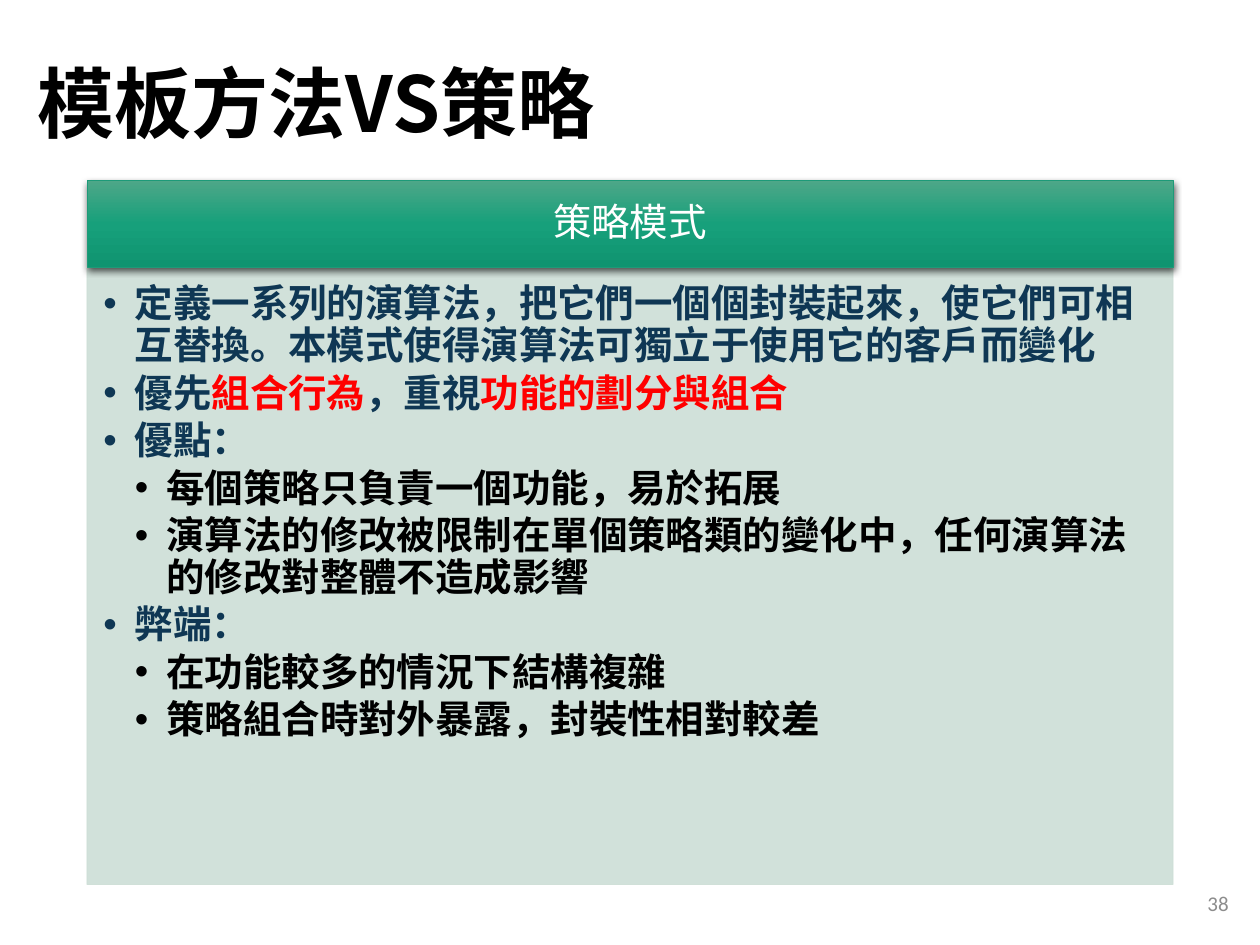
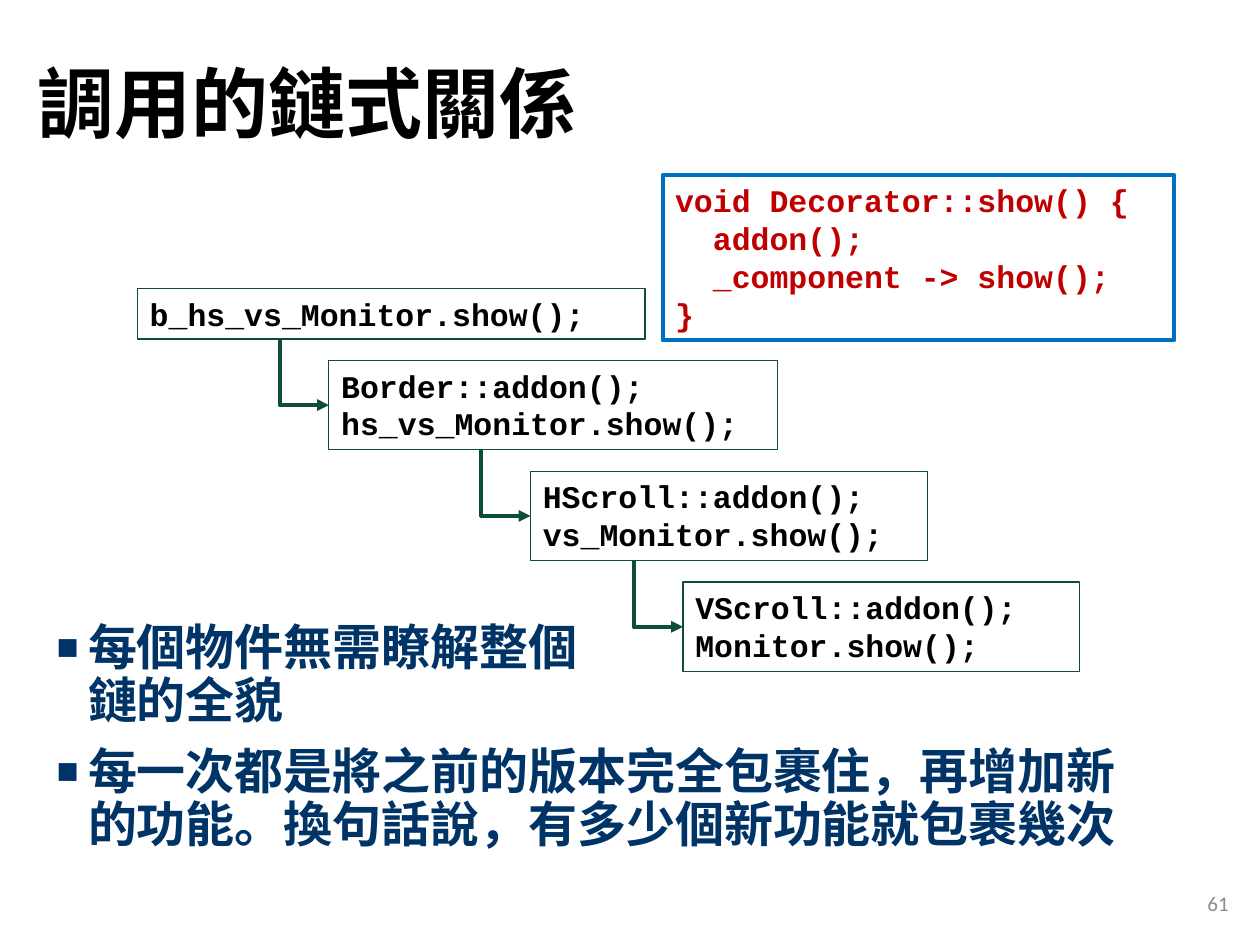
"""Build two slides on design patterns: the strategy panel and the call chain."""
from copy import deepcopy
from dataclasses import dataclass, field
from itertools import pairwise
from typing import Any, NamedTuple

from lxml.etree import SubElement as Sub
from pptx import Presentation
from pptx.dml.color import RGBColor as Rgb
from pptx.enum.shapes import MSO_CONNECTOR as Link, MSO_SHAPE as Form
from pptx.enum.text import MSO_ANCHOR as Anchor, PP_ALIGN as Align
from pptx.oxml.ns import qn
from pptx.util import Inches, Pt


@dataclass(frozen=True)
class Theme:
    black: str = "000000"
    white: str = "FFFFFF"
    grey: str = "8C8C8C"
    ink: str = "0F3754"
    navy: str = "003366"
    red: str = "FF0000"
    code: str = "C00000"
    frame: str = "0070C0"
    pine: str = "0E4D3C"
    rim: str = "1D9A78"
    mint: str = "CDDED6"
    glow: tuple = ((0, "4EA788"), (0.5, "17A07B"), (1, "0F9470"))
    title: int = 44
    body: int = 28
    panel: int = 22
    mono: int = 18
    page: int = 12
    cjk: str = "Noto Sans CJK SC"
    fixed: str = "Courier New"
    sans: str = "Calibri"


T = Theme()


class Box(NamedTuple):
    left: float
    top: float
    width: float
    height: float

    def lengths(self) -> list:
        return [Inches(side) for side in self]


class Run(NamedTuple):
    text: str
    tint: str | None = None


class Para(NamedTuple):
    runs: list[Run]
    level: int = 0
    tint: str | None = None
    inset: float = 0


@dataclass(frozen=True)
class Style:
    size: int
    face: str
    tint: str
    bold: bool = True
    bullet: str = ""
    scale: int = 100
    para: dict[str, Any] = field(default_factory=dict)
    frame: dict[str, Any] = field(default_factory=dict)


def pads(left: float, top: float, right: float, bottom: float) -> dict[str, Any]:
    names = ("margin_left", "margin_top", "margin_right", "margin_bottom")
    return dict(zip(names, map(Inches, (left, top, right, bottom))))


MID = {"vertical_anchor": Anchor.MIDDLE}
TOP = {"vertical_anchor": Anchor.TOP}
TIGHT = {"line_spacing": 0.9}

TITLE = Style(T.title, T.cjk, T.black, para=TIGHT, frame=MID)
PAGE = Style(T.page, T.sans, T.grey, False, para={"alignment": Align.RIGHT}, frame=MID)
HEAD = Style(T.panel, T.cjk, T.white, False, para=TIGHT | {"alignment": Align.CENTER},
             frame=MID | pads(0.17, 0.1, 0.17, 0.1))
LIST = Style(T.panel, T.cjk, T.ink, bullet="•",
             para=TIGHT | {"alignment": Align.LEFT, "space_after": Pt(3.4)},
             frame=TOP | pads(0.13, 0.13, 0.17, 0.19))
BODY = Style(T.body, T.fixed, T.navy, bullet="■", scale=75,
             para=TIGHT | {"space_before": Pt(10)}, frame=TOP)
CALL = Style(T.mono, T.fixed, T.black, para={"alignment": Align.LEFT}, frame=TOP)
CODE = Style(T.mono, T.fixed, T.code, para={"alignment": Align.LEFT}, frame=TOP)

STEP = 0.25
TITLE_BOX = Box(0.2, 0.13, 8.62, 1.45)
PAGE_BOX = Box(7.6, 6.97, 2.25, 0.4)


def apply(thing: Any, values: dict[str, Any]) -> None:
    for name, value in values.items():
        setattr(thing, name, value)


def plain(text: str, **more: Any) -> Para:
    return Para([Run(text)], **more)


def mark(para: Any, level: int, style: Style) -> None:
    props = para._p.get_or_add_pPr()
    props.set("marL", str(Inches(STEP * (level + 1))))
    props.set("indent", str(Inches(-STEP)))
    Sub(props, qn("a:buSzPct"), val=str(style.scale * 1000))
    Sub(props, qn("a:buFont"), typeface="Arial")
    Sub(props, qn("a:buChar"), char=style.bullet)


def say(para: Any, text: str, tint: str, style: Style) -> None:
    run = para.add_run()
    run.text = text
    apply(run.font, {"size": Pt(style.size), "name": style.face, "bold": style.bold})
    run.font.color.rgb = Rgb.from_string(tint)
    Sub(run._r.get_or_add_rPr(), qn("a:ea"), typeface=T.cjk)


def write(shape: Any, style: Style, paras: list[Para]) -> None:
    frame = shape.text_frame
    apply(frame, {"word_wrap": True} | style.frame)
    for count, item in enumerate(paras):
        para = frame.add_paragraph() if count else frame.paragraphs[0]
        apply(para, style.para)
        if style.bullet:
            para.level = item.level
            mark(para, item.level, style)
        elif item.inset:
            para._p.get_or_add_pPr().set("marL", str(Inches(item.inset)))
        for run in item.runs:
            for row, text in enumerate(run.text.splitlines()):
                if row:
                    para.add_line_break()
                say(para, text, run.tint or item.tint or style.tint, style)


def label(slide: Any, box: Box, style: Style, paras: list[Para]) -> None:
    write(slide.shapes.add_textbox(*box.lengths()), style, paras)


def block(slide: Any, box: Box, edge: str, width: float, fill: str | None = None) -> Any:
    shape = slide.shapes.add_shape(Form.RECTANGLE, *box.lengths())
    shape.shadow.inherit = False
    shape.line.color.rgb = Rgb.from_string(edge)
    shape.line.width = Pt(width)
    if fill:
        shape.fill.solid()
        shape.fill.fore_color.rgb = Rgb.from_string(fill)
    else:
        shape.fill.background()
    return shape


def shade(shape: Any) -> None:
    fill, props = shape.fill, shape._element.spPr
    fill.gradient()
    fill.gradient_angle = 270
    stops = props.find(".//" + qn("a:gsLst"))
    stops.append(deepcopy(stops[0]))
    for stop, (place, tint) in zip(fill.gradient_stops, T.glow):
        stop.position = place
        stop.color.rgb = Rgb.from_string(tint)
    cast = Sub(props.find(qn("a:effectLst")), qn("a:outerShdw"), blurRad=str(Pt(4.5)),
               dist=str(Pt(1.5)), dir="5400000", algn="ctr", rotWithShape="0")
    Sub(Sub(cast, qn("a:srgbClr"), val=T.black), qn("a:alpha"), val="63000")


def fade(shape: Any, share: int) -> None:
    for tint in shape._element.spPr.iter(qn("a:srgbClr")):
        Sub(tint, qn("a:alpha"), val=str(share * 1000))


def bend(slide: Any, start: Box, goal: Box, run: float = 0.39) -> None:
    base = start.top + start.height
    drop = goal.top + goal.height / 2 - base
    mid_x, mid_y = goal.left - run / 2, base + drop / 2
    ends = (mid_x + drop / 2, mid_y - run / 2, mid_x - drop / 2, mid_y + run / 2)
    line = slide.shapes.add_connector(Link.ELBOW, *map(Inches, ends))
    line.line.color.rgb = Rgb.from_string(T.pine)
    line.line.width = Pt(2.25)
    props = line._element.spPr
    props.find(qn("a:xfrm")).set("rot", "16200000")
    props.find(qn("a:prstGeom")).set("prst", "bentConnector2")
    Sub(props.find(qn("a:ln")), qn("a:tailEnd"), type="triangle")
    Sub(props, qn("a:effectLst"))


def start(deck: Any, title: str, page: int) -> Any:
    slide = deck.slides.add_slide(deck.slide_layouts[6])
    label(slide, TITLE_BOX, TITLE, [plain(title)])
    label(slide, PAGE_BOX, PAGE, [plain(str(page))])
    return slide


def compare(deck: Any) -> None:
    slide = start(deck, "模板方法VS策略", 38)
    panel = block(slide, Box(0.69, 2.13, 8.62, 4.89), T.mint, 0.5, T.mint)
    fade(panel, 90)
    sub = {"level": 1, "tint": T.black}
    write(panel, LIST, [
        plain("定義一系列的演算法，把它們一個個封裝起來，使它們可相互替換。"
              "本模式使得演算法可獨立于使用它的客戶而變化"),
        Para([Run("優先"), Run("組合行為", T.red), Run("，重視"),
              Run("功能的劃分與組合", T.red)]),
        plain("優點："),
        plain("每個策略只負責一個功能，易於拓展", **sub),
        plain("演算法的修改被限制在單個策略類的變化中，任何演算法的修改對整體不造成影響", **sub),
        plain("弊端："),
        plain("在功能較多的情況下結構複雜", **sub),
        plain("策略組合時對外暴露，封裝性相對較差", **sub),
    ])
    head = block(slide, Box(0.69, 1.43, 8.62, 0.69), T.rim, 0.5)
    shade(head)
    write(head, HEAD, [plain("策略模式")])


class Call(NamedTuple):
    left: float
    width: float
    lines: list[str]


CALLS = [
    Call(1.09, 4.03, ["b_hs_vs_Monitor.show();"]),
    Call(2.61, 3.56, ["Border::addon();", "hs_vs_Monitor.show();"]),
    Call(4.21, 3.15, ["HScroll::addon();", "vs_Monitor.show();"]),
    Call(5.42, 3.15, ["VScroll::addon();", "Monitor.show();"]),
]


def chain(deck: Any) -> None:
    slide = start(deck, "調用的鏈式關係", 61)
    label(slide, Box(0.35, 4.9, 8.62, 1.86), BODY, [
        plain("每個物件無需瞭解整個\n鏈的全貌"),
        plain("每一次都是將之前的版本完全包裹住，再增加新的功能。"
              "換句話說，有多少個新功能就包裹幾次"),
    ])
    note = block(slide, Box(5.26, 1.39, 4.06, 1.31), T.frame, 2.5)
    write(note, CODE, [
        plain("void Decorator::show() {"),
        plain("addon();", inset=0.3),
        plain("_component -> show();", inset=0.3),
        plain("}"),
    ])
    boxes, top = [], 2.29
    for call in CALLS:
        box = Box(call.left, top, call.width, 0.09 + 0.31 * len(call.lines))
        write(block(slide, box, T.pine, 0.75), CALL, [plain(line) for line in call.lines])
        boxes.append(box)
        top += box.height + 0.17
    for first, second in pairwise(boxes):
        bend(slide, first, second)


def main() -> None:
    deck = Presentation()
    deck.slide_width, deck.slide_height = Inches(10), Inches(7.5)
    compare(deck)
    chain(deck)
    deck.save("out.pptx")


if __name__ == "__main__":
    main()
